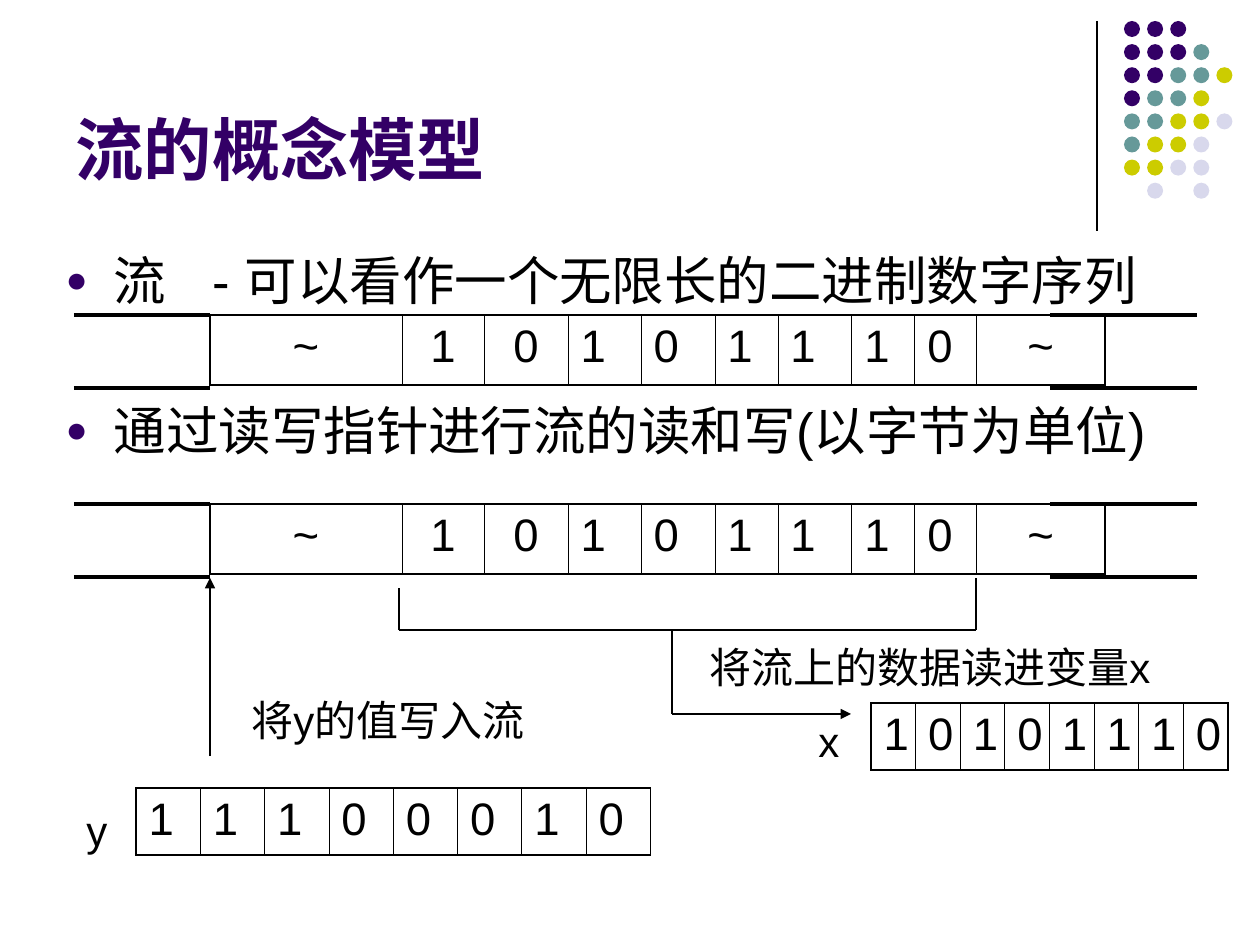
from lxml.etree import SubElement as sub
from pptx import Presentation
from pptx.dml.color import RGBColor
from pptx.enum.shapes import MSO_CONNECTOR as CON, MSO_SHAPE as SHP
from pptx.enum.text import MSO_ANCHOR as ANC, MSO_AUTO_SIZE as FIT, PP_ALIGN as AL
from pptx.oxml.ns import qn
from pptx.util import Emu, Pt

UNIT = 914400 / 126
HUES = {"ink": "000000", "plum": "330066", "teal": "669999",
        "lime": "CCCC00", "mist": "D8D8EC"}
DOTS = ["PPP", "PPPT", "PPTTL", "PTTL", "TTLLM", "TLLM", "LLMM", " M M"]
KEYS = {"P": "plum", "T": "teal", "L": "lime", "M": "mist"}
COLS = [192, 82, 84, 73, 74, 63, 74, 63, 62, 128]


def px(n):
    return Emu(round(n * UNIT))


def box(*vals):
    return [px(v) for v in vals]


def rgb(hue):
    return RGBColor.from_string(HUES[hue])


def style(para, size, hue="ink", bold=False):
    for run in para.runs:
        font = run.font
        font.name, font.size, font.bold = "Arial", Pt(size), bold
        font.color.rgb = rgb(hue)


def line(slide, x1, y1, x2, y2, width=0.75, arrow=False):
    con = slide.shapes.add_connector(CON.STRAIGHT, *box(x1, y1, x2, y2))
    con.line.width = Pt(width)
    con.line.color.rgb = rgb("ink")
    if arrow:
        sub(con.line._ln, qn("a:tailEnd"), type="triangle")
    sub(con._element.spPr, qn("a:effectLst"))


def place(shape, x, y, w, h):
    shape.left, shape.top, shape.width, shape.height = box(x, y, w, h)


def corner(slide, x, y):
    """Rule and dot pattern at the top right."""
    line(slide, x, y, x, y + 210)
    group = slide.shapes.add_group_shape()
    for r, row in enumerate(DOTS):
        for c, key in enumerate(row):
            if key == " ":
                continue
            dot = group.shapes.add_shape(
                SHP.OVAL, *box(x + 27 + 23.1 * c, y + 23.1 * r, 16, 16))
            dot.shadow.inherit = False
            dot.fill.solid()
            dot.fill.fore_color.rgb = rgb(KEYS[key])
            dot.line.fill.background()


def title(slide, x, y, w, h):
    head = slide.shapes.title
    place(head, x, y, w, h)
    frame = head.text_frame
    frame.text = "流的概念模型"
    frame.vertical_anchor = ANC.BOTTOM
    frame.auto_size = FIT.NONE
    frame.paragraphs[0].alignment = AL.LEFT
    style(frame.paragraphs[0], 39, "plum", True)


def bullet(para):
    ppr = para._p.get_or_add_pPr()
    ppr.set("marL", str(px(48)))
    ppr.set("indent", str(-px(48)))
    tint = sub(ppr, qn("a:buClr"))
    sub(tint, qn("a:srgbClr"), val=HUES["plum"])
    sub(ppr, qn("a:buSzPct"), val="70000")
    sub(ppr, qn("a:buFont"), typeface="Arial")
    sub(ppr, qn("a:buChar"), char="●")


def points(slide, x, y, w, h):
    body = slide.placeholders[1]
    place(body, x, y, w, h)
    frame = body.text_frame
    frame.text = ("流\t- 可以看作一个无限长的二进制数字序列\n"
                  "通过读写指针进行流的读和写(以字节为单位)")
    frame.auto_size = FIT.NONE
    for para, gap in zip(frame.paragraphs, (7.5, 49.5)):
        para.space_before = Pt(gap)
        bullet(para)
        style(para, 30)
    tabs = sub(frame.paragraphs[0]._p.pPr, qn("a:tabLst"))
    sub(tabs, qn("a:tab"), pos=str(px(147)), algn="l")


def edge(cell, widths):
    """Borders in the order left, right, top, bottom."""
    props = cell._tc.get_or_add_tcPr()
    for i, (side, width) in enumerate(zip("LRTB", widths)):
        ln = props.makeelement(qn("a:ln" + side), {"w": str(Pt(width))})
        fill = sub(ln, qn("a:solidFill"))
        sub(fill, qn("a:srgbClr"), val=HUES["ink"])
        props.insert(i, ln)


def cells(slide, x, y, widths, h, bits, mid=()):
    """One row of bits; the columns listed in mid are centred."""
    frame = slide.shapes.add_table(1, len(bits), *box(x, y, sum(widths), h))
    table = frame.table
    table.first_row = table.horz_banding = False
    last = len(bits) - 1
    for i, (bit, width) in enumerate(zip(bits, widths)):
        table.columns[i].width = px(width)
        cell = table.cell(0, i)
        cell.text = bit
        cell.fill.background()
        para = cell.text_frame.paragraphs[0]
        para.alignment = AL.CENTER if i in mid else AL.LEFT
        style(para, 26)
        edge(cell, (0.45 if i else 1.08, 1.08 if i == last else 0.45, 1.08, 1.08))


def stream(slide, x, y):
    """Bits between two open-ended rails."""
    cells(slide, x + 136, y, COLS, 70, "~10101110~", (0, 1, 2, 9))
    for dy in (0, 73):
        line(slide, x, y + dy, x + 136, y + dy, 2.25)
        line(slide, x + 976, y + dy, x + 1123, y + dy, 2.25)


def label(slide, text, x, y, w):
    frame = slide.shapes.add_textbox(*box(x, y, w, 63)).text_frame
    frame.text = text
    frame.word_wrap = False
    frame.auto_size = FIT.SHAPE_TO_FIT_TEXT
    style(frame.paragraphs[0], 24)


def read(slide, x, y):
    """Bracket under the bits, leading to variable x."""
    line(slide, x, y + 52, x, y + 10)
    line(slide, x, y + 52, x + 577, y + 52)
    line(slide, x + 577, y + 52, x + 577, y)
    line(slide, x + 273, y + 52, x + 273, y + 136)
    line(slide, x + 273, y + 136, x + 452, y + 136, arrow=True)
    label(slide, "将流上的数据读进变量x", x + 298, y + 57, 476)
    label(slide, "x", x + 407, y + 131, 45)
    cells(slide, x + 472, y + 125, [44.6] * 8, 67, "10101110")


def write(slide, x, y):
    """Variable y and the arrow up into the stream."""
    cells(slide, x + 62, y + 210, [64.3] * 8, 67, "11100010")
    line(slide, x + 136, y + 178, x + 136, y, arrow=True)
    label(slide, "将y的值写入流", x + 165, y + 110, 318)
    label(slide, "y", x, y + 220, 45)


def main():
    prs = Presentation()
    prs.slide_width, prs.slide_height = box(1260, 945)
    slide = prs.slides.add_slide(prs.slide_layouts[1])
    corner(slide, 1097, 21)
    title(slide, 63, 16, 1040, 179)
    points(slide, 53, 242, 1182, 604)
    for y in (315, 504):
        stream(slide, 74, y)
    read(slide, 399, 578)
    write(slide, 74, 578)
    prs.save("out.pptx")


if __name__ == "__main__":
    main()
